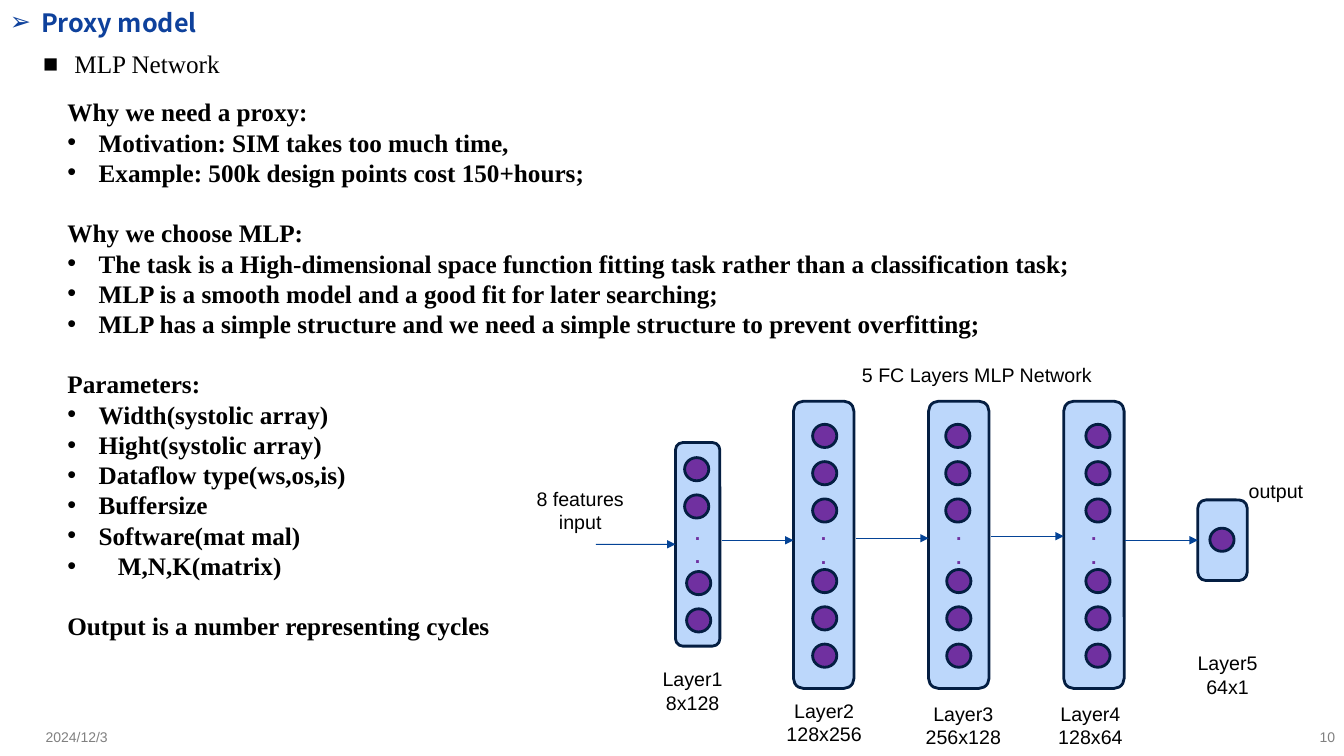
"""Build the proxy model slide with its five-layer MLP diagram."""
from lxml.etree import SubElement
from pptx import Presentation
from pptx.dml.color import RGBColor
from pptx.enum.shapes import MSO_CONNECTOR as LINK, MSO_SHAPE as FORM
from pptx.enum.text import MSO_ANCHOR as ANCHOR, PP_ALIGN as ALIGN
from pptx.oxml.ns import qn
from pptx.util import Inches, Pt

hue = RGBColor.from_string
LEFT, MID, RIGHT = ALIGN.LEFT, ALIGN.CENTER, ALIGN.RIGHT
SMALL = {"name": "Arial", "size": Pt(10)}
LABEL = {"name": "Arial", "size": Pt(14)}
HEAD = {"name": "Noto Sans CJK SC", "size": Pt(18), "bold": True}
PLAIN = {"name": "Times New Roman", "size": Pt(18)}
STRONG = {**PLAIN, "bold": True}


def write(frame, lines, look, tone, align, anchor=ANCHOR.TOP):
    frame.word_wrap = True
    frame.vertical_anchor = anchor
    frame.text = "\n".join(lines)
    for par in frame.paragraphs:
        par.alignment = align
        for key, value in look.items():
            setattr(par.font, key, value)
            for run in par.runs:
                setattr(run.font, key, value)
        for run in par.runs:
            run.font.color.rgb = hue(tone)
    return frame.paragraphs


def mark(par, sign):
    props = par._p.get_or_add_pPr()
    props.set("marL", str(Inches(0.31)))
    props.set("indent", str(-Inches(0.31)))
    face = SubElement(props, qn("a:buFont"))
    face.set("typeface", "Arial")
    SubElement(props, qn("a:buChar")).set("char", sign)
    for late in props.findall(qn("a:defRPr")):
        props.append(late)


deck = Presentation()
deck.slide_width, deck.slide_height = Inches(13.33), Inches(7.5)
slide = deck.slides.add_slide(deck.slide_layouts[6])
shapes = slide.shapes

texts = [
    (0, 7.2, 1.52, 0.23, ["2024/12/3"], SMALL, "808080", MID, ANCHOR.MIDDLE, ""),
    (12.82, 7.22, 0.52, 0.18, ["10"], SMALL, "808080", RIGHT, ANCHOR.MIDDLE, ""),
    (0, 0.02, 2.2, 0.71, ["Proxy model"], HEAD, "0E419C", LEFT, ANCHOR.TOP, "➢"),
    (0.33, 0.43, 1.97, 0.4, ["MLP Network"], PLAIN, "000000", LEFT, ANCHOR.TOP, "■"),
]
labels = [
    (5.09, 4.78, 1.33, 0.57, ["8 features input"]),
    (6.42, 6.57, 0.9, 0.57, ["Layer1", "8x128"]),
    (7.66, 6.88, 1.03, 0.57, ["Layer2", "128x256"]),
    (9.04, 6.91, 1.03, 0.57, ["Layer3", "256x128"]),
    (10.34, 6.91, 0.95, 0.57, ["Layer4", "128x64"]),
    (11.7, 6.41, 0.95, 0.57, ["Layer5", "64x1"]),
    (11.99, 4.7, 1.33, 0.34, ["output"]),
    (8.23, 3.55, 2.92, 0.34, ["5 FC Layers MLP Network"]),
]
texts += [(*label, LABEL, "000000", MID, ANCHOR.TOP, "") for label in labels]
for x, y, w, h, lines, look, tone, align, anchor, sign in texts:
    box = shapes.add_textbox(Inches(x), Inches(y), Inches(w), Inches(h))
    for par in write(box.text_frame, lines, look, tone, align, anchor):
        if sign:
            mark(par, sign)

topics = {
    "Why we need a proxy:": [
        "Motivation: SIM takes too much time,",
        "Example: 500k design points cost 150+hours;",
    ],
    "Why we choose MLP:": [
        "The task is a High-dimensional space function fitting task "
        "rather than a classification task;",
        "MLP is a smooth model and a good fit for later searching;",
        "MLP has a simple structure and we need a simple structure to prevent overfitting;",
    ],
    "Parameters:": [
        "Width(systolic array)",
        "Hight(systolic array)",
        "Dataflow type(ws,os,is)",
        "Buffersize",
        "Software(mat mal)",
        "\tM,N,K(matrix)",
    ],
    "Output is a number representing cycles": [],
}
lines = [line for topic, points in topics.items() for line in (topic, *points)]
body = shapes.add_textbox(Inches(0.57), Inches(0.91), Inches(10.45), Inches(5.86))
pars = write(body.text_frame, lines, STRONG, "000000", LEFT)
for rank, (par, line) in enumerate(zip(pars, lines)):
    par.line_spacing = Pt(21.6)
    if line not in topics:
        mark(par, "•")
    elif rank:
        par.space_before = Pt(21.6)

layers = [
    (6.7, 4.39, 0.44, 2.02, [(6.79, 4.54, 2), (6.81, 5.67, 2)]),
    (7.87, 3.98, 0.6, 2.85, [(8.06, 4.21, 3), (8.06, 5.65, 3)]),
    (9.21, 3.98, 0.6, 2.85, [(9.38, 4.21, 3), (9.39, 5.65, 3)]),
    (10.55, 3.98, 0.6, 2.85, [(10.77, 4.21, 3), (10.77, 5.65, 3)]),
    (11.88, 4.96, 0.49, 0.8, [(12, 5.24, 1)]),
]
boxes = []
for x, y, w, h, stacks in layers:
    parts = [(FORM.ROUNDED_RECTANGLE, x, y, w, h, "BCD7FB")]
    for left, top, count in stacks:
        parts += [(FORM.FLOWCHART_CONNECTOR, left, top + 0.37 * i, 0.24, 0.23, "7030A0")
                  for i in range(count)]
    for form, *place, tone in parts:
        node = shapes.add_shape(form, *map(Inches, place))
        node.shadow.inherit = False
        node.fill.solid()
        node.fill.fore_color.rgb = hue(tone)
        node.line.color.rgb = hue("041E42")
        node.line.width = Pt(2)
        if form == FORM.ROUNDED_RECTANGLE:
            boxes.append(node)
    if len(stacks) == 2:
        write(boxes[-1].text_frame, [".", "."], {**LABEL, "bold": True},
              "7030A0", MID, ANCHOR.MIDDLE)

arrows = [
    (5.91, 6.7, 5.4, boxes[0]),
    (7.16, 7.87, 5.36, None),
    (8.49, 9.21, 5.34, None),
    (9.83, 10.55, 5.32, None),
    (11.16, 11.88, 5.36, boxes[4]),
]
for start, end, y, goal in arrows:
    arrow = shapes.add_connector(LINK.STRAIGHT, Inches(start), Inches(y), Inches(end), Inches(y))
    if goal:
        arrow.end_connect(goal, 1)
    arrow.line.color.rgb = hue("044396")
    arrow.line.width = Pt(0.75)
    props = arrow.element.spPr
    SubElement(props.find(qn("a:ln")), qn("a:tailEnd")).set("type", "triangle")
    SubElement(props, qn("a:effectLst"))

deck.save("out.pptx")
